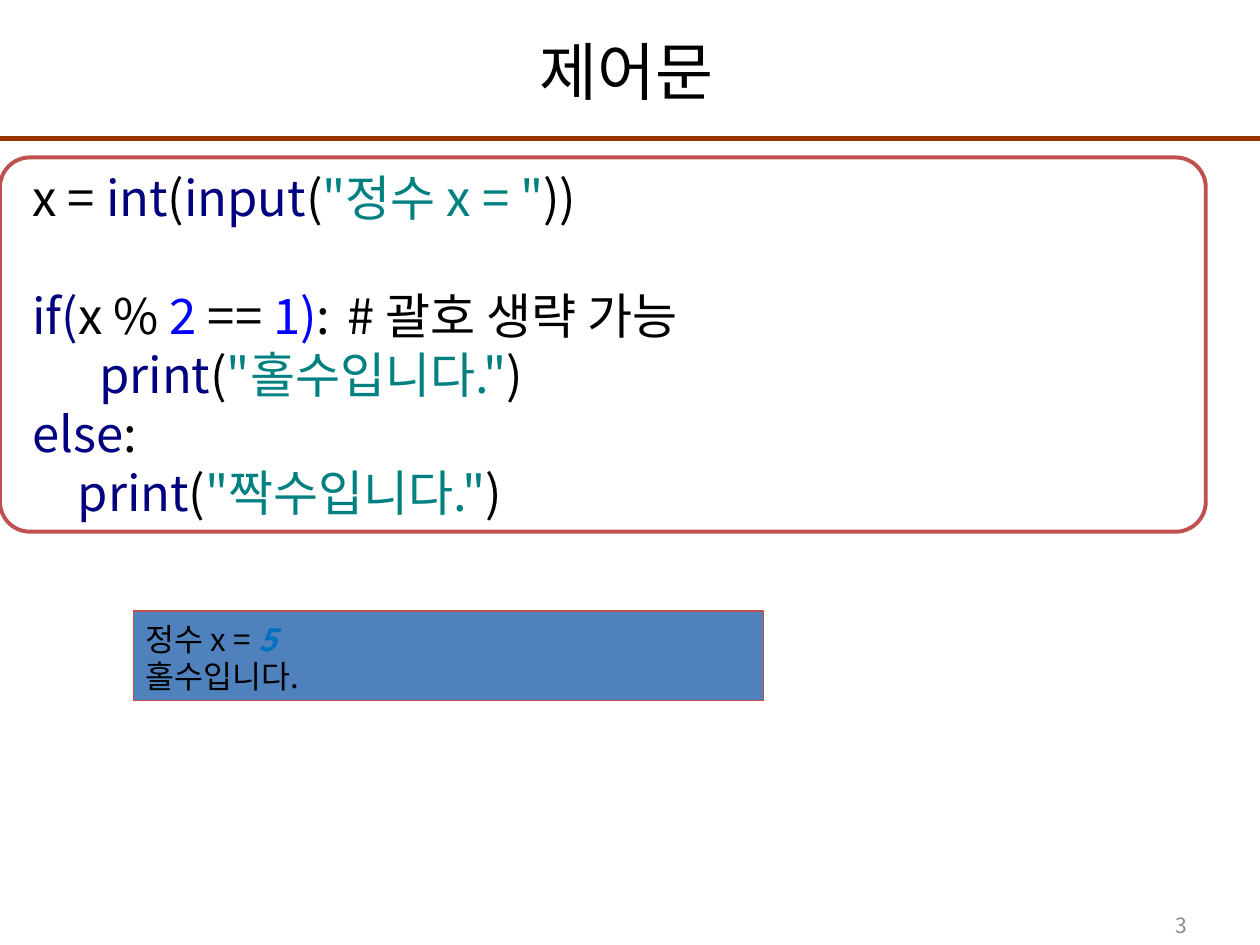
from typing import NamedTuple

from lxml import etree
from pptx import Presentation
from pptx.dml.color import RGBColor
from pptx.enum.shapes import MSO_CONNECTOR, MSO_SHAPE
from pptx.enum.text import MSO_ANCHOR, PP_ALIGN
from pptx.oxml.ns import qn
from pptx.util import Inches, Pt

RECT, ROUND = MSO_SHAPE.RECTANGLE, MSO_SHAPE.ROUNDED_RECTANGLE
STRAIGHT = MSO_CONNECTOR.STRAIGHT
TOP, MIDDLE = MSO_ANCHOR.TOP, MSO_ANCHOR.MIDDLE
LEFT, CENTER, RIGHT = PP_ALIGN.LEFT, PP_ALIGN.CENTER, PP_ALIGN.RIGHT

FONT = "Noto Sans CJK KR"
COLORS = {
    "text": "000000", "key": "000080", "num": "0000FF", "str": "008080",
    "rule": "993300", "frame": "C0504D", "panel": "4F81BD",
    "entry": "0070C0", "page": "8C8C8C",
}
COLS, ROWS = 100, 75
WIDTH, HEIGHT = Inches(10), Inches(7.5)


class Area(NamedTuple):
    """A place on the grid, in columns and rows."""
    col: float
    row: float
    wide: float
    high: float


class Run(NamedTuple):
    text: str
    color: str = "text"
    strong: bool = False


class Line(NamedTuple):
    runs: list[Run]
    indent: float = 0
    gap: float = 0
    tab: float = 0


def col(n: float) -> int:
    return round(WIDTH * n / COLS)


def row(n: float) -> int:
    return round(HEIGHT * n / ROWS)


def place(area: Area) -> tuple[int, int, int, int]:
    return col(area.col), row(area.row), col(area.wide), row(area.high)


def paint(color: str) -> RGBColor:
    return RGBColor.from_string(COLORS[color])


def write(shape, lines: list[Line], *, size: float, align=LEFT,
          anchor=TOP, pitch: float = 0, top: float = 0.05) -> None:
    """Fill a shape with lines; pitch is an exact line height in points."""
    frame = shape.text_frame
    frame.word_wrap = True
    frame.vertical_anchor = anchor
    frame.margin_top = Inches(top)
    for i, line in enumerate(lines):
        para = frame.paragraphs[0] if i == 0 else frame.add_paragraph()
        para.alignment = align
        para.space_before = Pt(line.gap)
        if pitch:
            para.line_spacing = Pt(pitch)
        props = para._p.get_or_add_pPr()
        props.set("marL", str(col(line.indent)))
        props.set("indent", "0")
        if line.tab:
            stops = etree.SubElement(props, qn("a:tabLst"))
            etree.SubElement(stops, qn("a:tab"), pos=str(col(line.tab)), algn="l")
        for part in line.runs:
            run = para.add_run()
            run.text = part.text
            font = run.font
            font.size, font.name = Pt(size), FONT
            font.bold = font.italic = part.strong
            font.color.rgb = paint(part.color)
            etree.SubElement(run._r.get_or_add_rPr(), qn("a:ea"), typeface=FONT)


def add_text(slide, area: Area, lines: list[Line], **style) -> None:
    write(slide.shapes.add_textbox(*place(area)), lines, **style)


def add_box(slide, kind, area: Area, width: float, fill: str = ""):
    box = slide.shapes.add_shape(kind, *place(area))
    box.shadow.inherit = False
    if fill:
        box.fill.solid()
        box.fill.fore_color.rgb = paint(fill)
    else:
        box.fill.background()
    box.line.color.rgb = paint("frame")
    box.line.width = Pt(width)
    return box


def add_rule(slide, at: float) -> None:
    rule = slide.shapes.add_connector(STRAIGHT, 0, row(at), WIDTH, row(at))
    rule.line.color.rgb = paint("rule")
    rule.line.width = Pt(3)
    etree.SubElement(rule._element.spPr, qn("a:effectLst"))


def show(text: str, indent: float) -> Line:
    """A line of code that prints the text."""
    return Line([Run("print", "key"), Run("("), Run(f'"{text}"', "str"), Run(")")],
                indent)


PITCH = 33.7
CODE = [
    Line([Run("x = "), Run("int", "key"), Run("("), Run("input", "key"),
          Run("("), Run('"정수 x = "', "str"), Run("))")]),
    Line([Run("if(", "key"), Run("x % "), Run("2 ", "num"), Run("== "),
          Run("1)", "num"), Run(":\t# 괄호 생략 가능")], gap=PITCH, tab=50),
    show("홀수입니다.", 5.3),
    Line([Run("else", "key"), Run(":")]),
    show("짝수입니다.", 3.6),
]
RESULT = [
    Line([Run("정수 x = "), Run("5", "entry", True)]),
    Line([Run("홀수입니다.")]),
]


def main() -> None:
    deck = Presentation()
    deck.slide_width, deck.slide_height = WIDTH, HEIGHT
    slide = deck.slides.add_slide(deck.slide_layouts[6])

    add_rule(slide, 11)
    add_text(slide, Area(4.7, 1.6, 90, 7.9), [Line([Run("제어문")])],
             size=36, align=CENTER, anchor=MIDDLE)
    add_text(slide, Area(1.6, 12.5, 96.1, 58.6), CODE,
             size=28, pitch=PITCH, top=0.08)
    add_text(slide, Area(71.9, 71.9, 23.3, 3.1), [Line([Run("3", "page")])],
             size=12, align=RIGHT, anchor=MIDDLE)
    panel = add_box(slide, RECT, Area(10.6, 48.5, 50, 7.1), 0.75, "panel")
    write(panel, RESULT, size=18, pitch=21.1, top=0.08)
    frame = add_box(slide, ROUND, Area(0, 12.5, 95.7, 29.7), 2.25)
    frame.adjustments[0] = 0.08

    deck.save("out.pptx")


if __name__ == "__main__":
    main()
